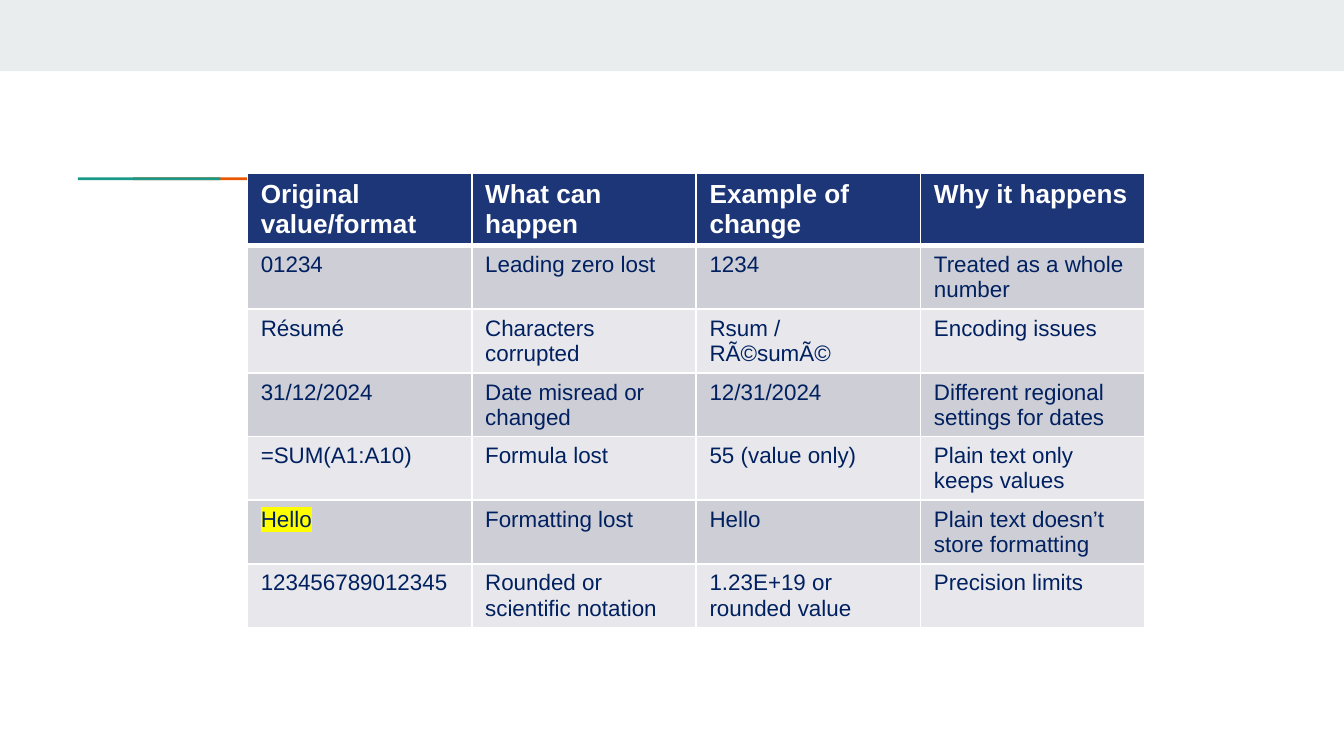
"""Build a slide with a table of values that change when data is exported."""
from lxml import etree
from pptx import Presentation
from pptx import util as u
from pptx.dml.color import RGBColor
from pptx.enum import shapes
from pptx.oxml import ns

WHITE = RGBColor(0xFF, 0xFF, 0xFF)
BAND = RGBColor(0xE9, 0xED, 0xEE)
ORANGE = RGBColor(0xEB, 0x56, 0x00)
TEAL = RGBColor(0x1A, 0x99, 0x88)
HEADER = RGBColor(0x1C, 0x36, 0x78)
NAVY = RGBColor(0x00, 0x20, 0x60)
ROW_FILLS = (RGBColor(0xCD, 0xCE, 0xD6), RGBColor(0xE8, 0xE8, 0xEC))
YELLOW = RGBColor(0xFF, 0xFF, 0x00)

ROWS = [
    ("Original value/format", "What can happen", "Example of change", "Why it happens"),
    ("01234", "Leading zero lost", "1234", "Treated as a whole number"),
    ("Résumé", "Characters corrupted", "Rsum / RÃ©sumÃ©", "Encoding issues"),
    ("31/12/2024", "Date misread or changed", "12/31/2024",
     "Different regional settings for dates"),
    ("=SUM(A1:A10)", "Formula lost", "55 (value only)", "Plain text only keeps values"),
    ("Hello", "Formatting lost", "Hello", "Plain text doesn’t store formatting"),
    ("123456789012345", "Rounded or scientific notation", "1.23E+19 or rounded value",
     "Precision limits"),
]
HIGHLIGHTED = (5, 0)


def add_color(parent, tag, color):
    element = etree.SubElement(parent, ns.qn(tag))
    etree.SubElement(element, ns.qn("a:srgbClr"), val=str(color))
    return element


def write_text(frame, content, *, size, color, bold=False, font="Arial", highlight=None):
    run = frame.paragraphs[0].add_run()
    run.text = content
    run.font.size = u.Pt(size)
    run.font.bold = bold
    run.font.name = font
    run.font.color.rgb = color
    if highlight is not None:
        properties = run.font._element
        mark = add_color(properties, "a:highlight", highlight)
        properties.find(ns.qn("a:solidFill")).addnext(mark)


def set_borders(cell, color, **widths):
    properties = cell._tc.get_or_add_tcPr()
    for index, side in enumerate("LRTB"):
        width = u.Pt(widths.get(side, 1))
        line = etree.Element(ns.qn(f"a:ln{side}"), w=str(width))
        add_color(line, "a:solidFill", color)
        properties.insert(index, line)


class SlideBuilder:
    """Hold the style and the current slide."""

    def __init__(self, slide):
        self.slide = slide
        self.header_style = {"size": 14, "color": WHITE, "bold": True}
        self.body_style = {"size": 12, "color": NAVY}

    def bar(self, left, top, width, height, color):
        shape = self.slide.shapes.add_shape(
            shapes.MSO_SHAPE.RECTANGLE, *map(u.Inches, (left, top, width, height)))
        shape.shadow.inherit = False
        shape.fill.solid()
        shape.fill.fore_color.rgb = color
        shape.line.fill.background()

    def table(self, left, top, column_width, row_height, rows):
        columns = len(rows[0])
        table = self.slide.shapes.add_table(
            len(rows), columns, u.Inches(left), u.Inches(top),
            u.Inches(column_width * columns), u.Inches(row_height * len(rows))).table
        for row_index, row in enumerate(rows):
            for column_index, content in enumerate(row):
                self.cell(table, row_index, column_index, content)

    def cell(self, table, row, column, content):
        cell = table.cell(row, column)
        cell.fill.solid()
        cell.fill.fore_color.rgb = ROW_FILLS[(row - 1) % 2] if row else HEADER
        set_borders(cell, WHITE, T=3 if row == 1 else 1, B=1 if row else 3)
        style = self.body_style if row else self.header_style
        highlight = YELLOW if (row, column) == HIGHLIGHTED else None
        write_text(cell.text_frame, content, highlight=highlight, **style)


def main():
    presentation = Presentation()
    presentation.slide_width = u.Inches(10)
    presentation.slide_height = presentation.slide_width * 9 // 16
    slide = presentation.slides.add_slide(presentation.slide_layouts[6])
    builder = SlideBuilder(slide)
    builder.bar(0, 0, 10, 0.53, BAND)
    for left, color in ((0.99, ORANGE), (0.58, TEAL)):
        builder.bar(left, 1.32, 1.06, 0.02, color)
    builder.table(1.84, 1.29, 1.67, 0.41, ROWS)
    presentation.save("out.pptx")


if __name__ == "__main__":
    main()
